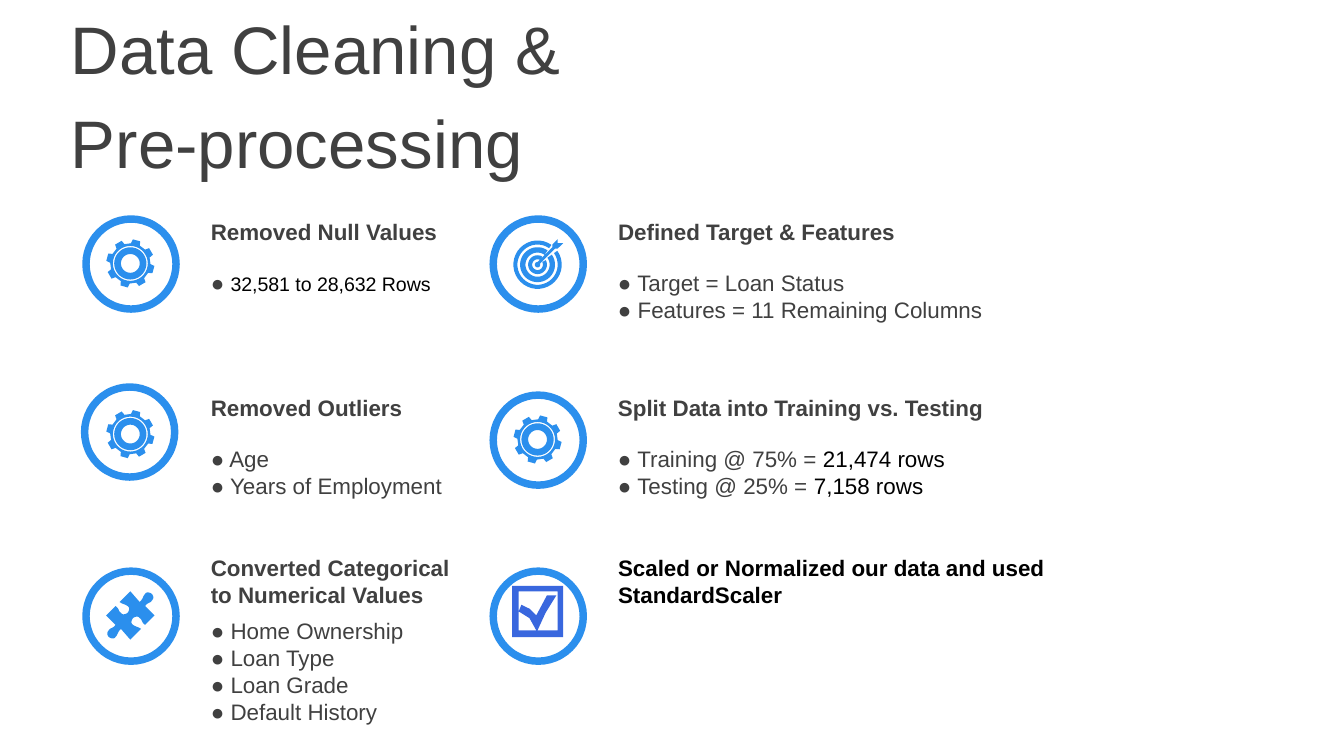
from math import cos, radians, sin

from pptx import Presentation
from pptx.dml.color import RGBColor
from pptx.enum.shapes import MSO_SHAPE as Shape
from pptx.enum.text import MSO_ANCHOR as Anchor
from pptx.util import Inches, Pt

FONT = "Arial"
COLORS = {"text": "404040", "black": "000000", "blue": "2B8FED", "check": "3967DE"}

# Column: center of icon, left of text. Row: center of icon, top of head, top of list.
COLS = [(0.97, 1.47), (4.0, 4.5)]
ROWS = [(1.96, 1.57, 1.95), (3.27, 2.88, 3.26), (4.58, 4.07, 4.54)]


def color(name):
    return RGBColor.from_string(COLORS[name])


def polar(radius, angle):
    return radius * cos(radians(angle)), radius * sin(radians(angle))


def arc(radius, start=0, end=360, step=10):
    count = round(abs(end - start) / step)
    return [polar(radius, start + (end - start) * i / count) for i in range(count + 1)]


def curve(a, b, c, d, count=6):
    """Points of a cubic curve after its start a."""
    points = []
    for i in range(1, count + 1):
        t = i / count
        w = ((1 - t) ** 3, 3 * t * (1 - t) ** 2, 3 * t * t * (1 - t), t ** 3)
        points.append(tuple(sum(k * p[n] for k, p in zip(w, (a, b, c, d)))
                            for n in (0, 1)))
    return points


def gear():
    edge = []
    for tooth in range(8):
        mid = 15 + 45 * tooth
        edge += [polar(r, mid + turn) for r, turn in
                 ((0.15, -13), (0.18, -9), (0.18, 9), (0.15, 13))]
    return [edge, arc(0.13), arc(0.12), arc(0.07)]


def target():
    """Rings that open to the upper right for an arrow."""
    rings = [arc(outer, -45 + gap, 315 - gap) + arc(inner, 315 - gap, -45 + gap)
             for outer, inner, gap in ((0.18, 0.15, 10), (0.13, 0.09, 10), (0.07, 0.04, 16))]
    arrow = [(0.15, -0.19), (0.15, -0.16), (0.19, -0.16), (0.15, -0.12), (0.13, -0.12),
             (0.02, -0.01)] + arc(0.02, 0, 270) + [(0.11, -0.13), (0.11, -0.15)]
    return rings + [arrow]


def puzzle():
    """One half of the outline, then the same half turned around."""
    parts = [
        [(0.17, -0.15), (0.18, -0.13), (0.16, -0.11)],
        [(0.15, -0.09), (0.13, -0.1), (0.11, -0.07)],
        [(0.18, 0)], [(0.11, 0.07)],
        [(0.08, 0.05), (0.09, 0.03), (0.07, 0.02)],
        [(0.06, 0), (0.03, 0.01), (0.02, 0.02)],
        [(0.01, 0.03), (0, 0.06), (0.02, 0.07)],
        [(0.05, 0.09), (0.05, 0.08), (0.08, 0.1)],
        [(0, 0.18)], [(-0.07, 0.1)],
        [(-0.1, 0.13), (-0.09, 0.14), (-0.11, 0.16)],
        [(-0.12, 0.18), (-0.15, 0.17), (-0.16, 0.16)],
    ]
    half = [(0.16, -0.16)]
    for part in parts:
        half += curve(half[-1], *part) if len(part) == 3 else part
    return [half + [(-x, -y) for x, y in half]]


def check():
    def box(left, top, right, bottom):
        return [(left, top), (right, top), (right, bottom), (left, bottom)]

    tick = [(-0.14, -0.03), (-0.12, -0.08), (-0.06, -0.05), (-0.01, 0), (0.07, -0.15),
            (0.14, -0.15), (0.06, -0.02), (0, 0.11), (-0.01, 0.11), (-0.06, 0.02)]
    return [box(-0.19, -0.22, 0.19, 0.16), box(-0.14, -0.18, 0.15, 0.11), tick]


def add_ring(slide, x, y):
    size = Inches(0.67)
    ring = slide.shapes.add_shape(Shape.OVAL, Inches(x - 0.33), Inches(y - 0.33), size, size)
    ring.shadow.inherit = False
    ring.fill.background()
    ring.line.color.rgb = color("blue")
    ring.line.width = Pt(4)


def add_icon(slide, x, y, loops, tint):
    """Draw closed loops around a center as one shape."""
    loops = [[(Inches(x + dx), Inches(y + dy)) for dx, dy in loop] for loop in loops]
    pen = slide.shapes.build_freeform(*loops[0][0])
    pen.add_line_segments(loops[0][1:], close=True)
    for loop in loops[1:]:
        pen.move_to(*loop[0])
        pen.add_line_segments(loop[1:], close=True)
    icon = pen.convert_to_shape()
    icon.shadow.inherit = False
    icon.fill.solid()
    icon.fill.fore_color.rgb = color(tint)
    icon.line.fill.background()


def add_text(slide, left, top, width, height, lines, size=12, bold=False, tint="text", gap=0):
    """A line is a string, or a label with a black value and the value's size."""
    box = slide.shapes.add_textbox(Inches(left), Inches(top), Inches(width), Inches(height))
    frame = box.text_frame
    frame.word_wrap = True
    frame.vertical_anchor = Anchor.MIDDLE
    for i, line in enumerate(lines):
        para = frame.add_paragraph() if i else frame.paragraphs[0]
        para.space_before = Pt(gap)
        font = para.font
        font.name, font.size, font.bold = FONT, Pt(size), bold
        font.color.rgb = color(tint)
        if isinstance(line, str):
            para.add_run().text = line
            continue
        label, value, points = line
        para.add_run().text = label
        run = para.add_run()
        run.text = value
        run.font.size = Pt(points)
        run.font.color.rgb = color("black")


def add_step(slide, col, row, icon, head, widths, lines=(), rows=1,
             ring=(0, 0), lift=0, tint="blue", ink="text"):
    x, left = COLS[col]
    y, top, low = ROWS[row]
    add_ring(slide, x + ring[0], y + ring[1])
    add_icon(slide, x, y + lift, icon(), tint)
    add_text(slide, left, top, widths[0], 0.11 + 0.2 * rows, [head], bold=True, tint=ink)
    if lines:
        add_text(slide, left, low, widths[1], 0.11 + 0.2 * len(lines), lines)


def main():
    deck = Presentation()
    deck.slide_width = Inches(10)
    deck.slide_height = deck.slide_width * 9 // 16
    slide = deck.slides.add_slide(deck.slide_layouts[6])
    add_text(slide, 0.43, 0.14, 9.57, 1.13, ["Data Cleaning &", "Pre-processing"],
             size=36, gap=7)

    slim = (1.99, 1.99)
    add_step(slide, 0, 0, gear, "Removed Null Values", slim,
             [("● ", "32,581 to 28,632 Rows", 10.5)])
    add_step(slide, 0, 1, gear, "Removed Outliers", slim,
             ["● Age", "● Years of Employment"], ring=(-0.01, -0.06), lift=-0.04)
    add_step(slide, 0, 2, puzzle, "Converted Categorical to Numerical Values", slim,
             ["● Home Ownership", "● Loan Type", "● Loan Grade", "● Default History"], rows=2)
    add_step(slide, 1, 0, target, "Defined Target & Features", (2.39, 2.94),
             ["● Target = Loan Status", "● Features = 11 Remaining Columns"], lift=0.01)
    add_step(slide, 1, 1, gear, "Split Data into Training vs. Testing", (3.17, 3.1),
             [("● Training @ 75% = ", "21,474 rows", 12),
              ("● Testing @ 25% = ", "7,158 rows", 12)])
    add_step(slide, 1, 2, check, "Scaled or Normalized our data and used StandardScaler",
             (3.41, 0), rows=2, tint="check", ink="black")
    deck.save("out.pptx")


if __name__ == "__main__":
    main()
